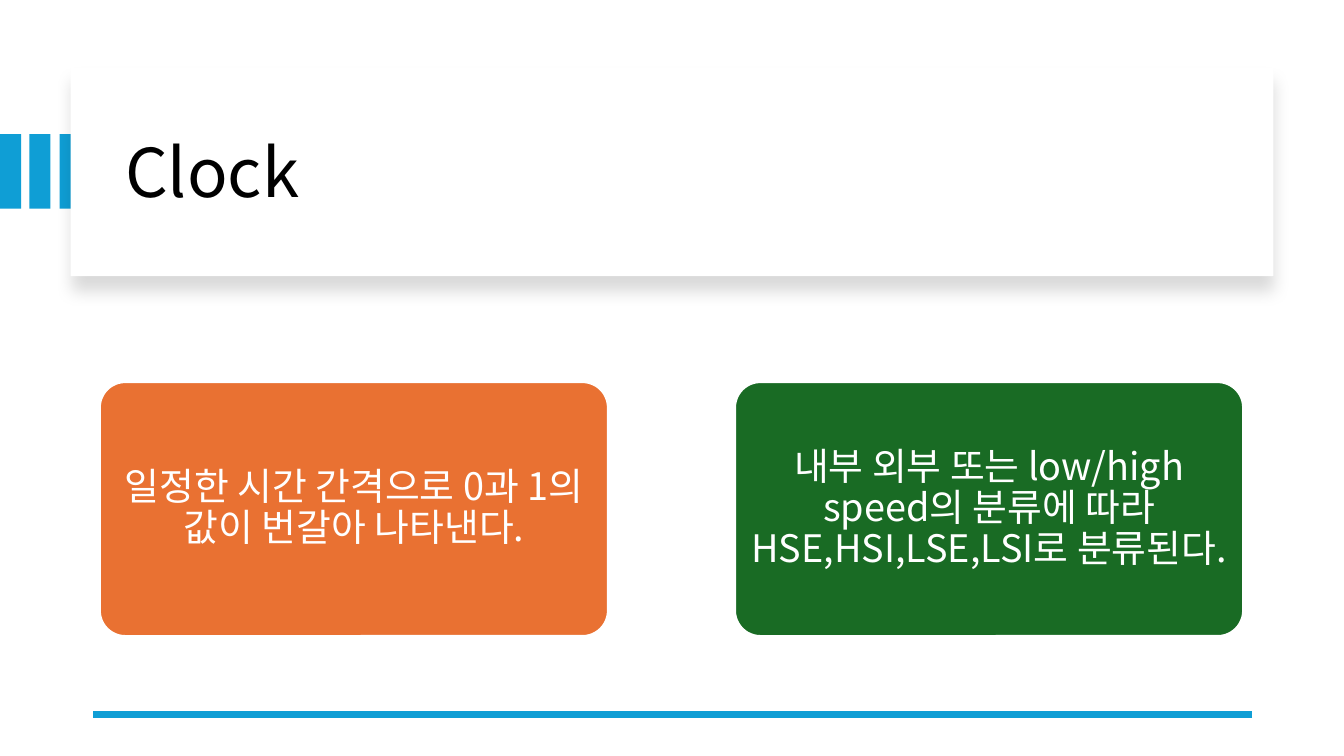
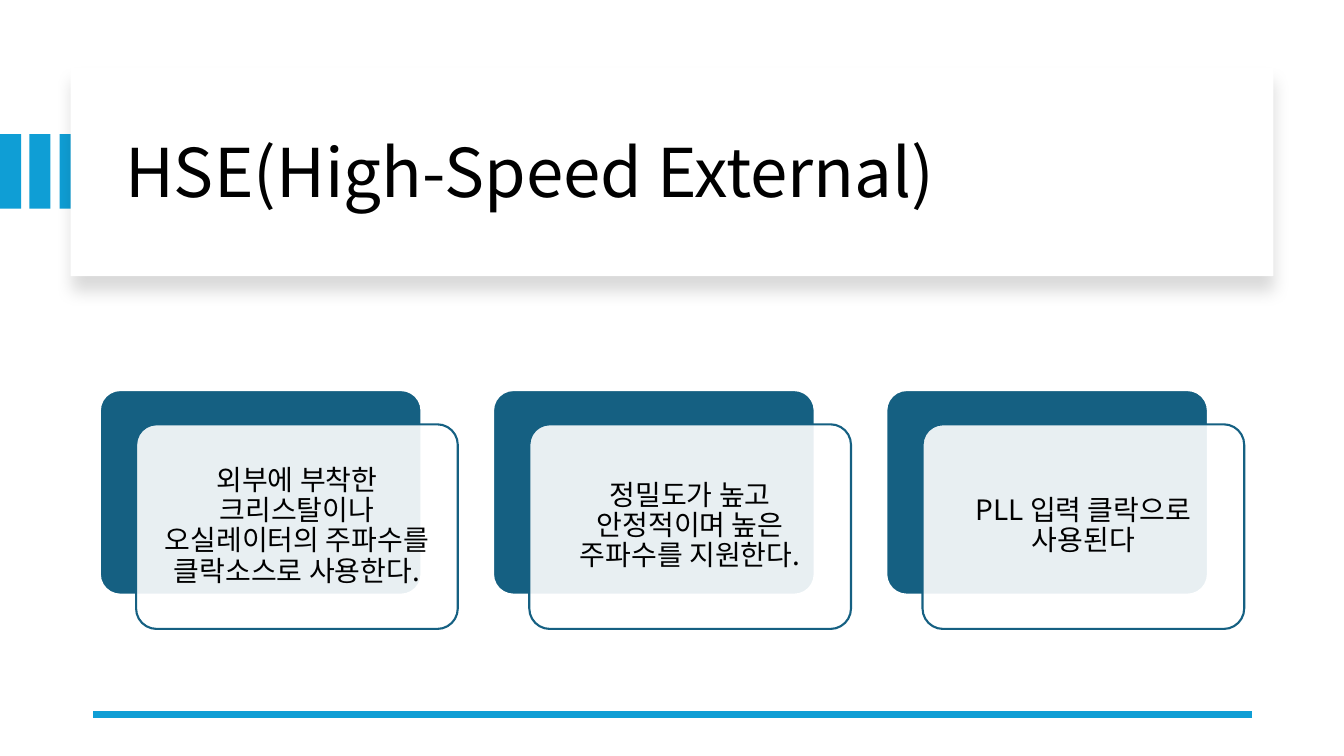
from lxml import etree
from pptx import Presentation
from pptx.dml.color import RGBColor
from pptx.enum.shapes import MSO_CONNECTOR, MSO_SHAPE
from pptx.enum.text import MSO_ANCHOR, PP_ALIGN
from pptx.oxml.ns import qn
from pptx.util import Emu, Pt

RECT, ROUND = MSO_SHAPE.RECTANGLE, MSO_SHAPE.ROUNDED_RECTANGLE
LEFT, CENTER = PP_ALIGN.LEFT, PP_ALIGN.CENTER
MIDDLE = MSO_ANCHOR.MIDDLE
STRAIGHT = MSO_CONNECTOR.STRAIGHT
TITLE_ONLY = 5

FONT = "Noto Sans CJK KR"
COLORS = {
    "accent": "0F9ED5",
    "orange": "E97132",
    "green": "196B24",
    "teal": "156082",
    "white": "FFFFFF",
    "black": "000000",
}


def px(n):
    """Lengths are in px, 100 to the inch."""
    return Emu(n * 9144)


def rgb(name):
    return RGBColor.from_string(COLORS[name])


def add_box(sl, kind, box, fill, line=None):
    sp = sl.shapes.add_shape(kind, *map(px, box))
    sp.shadow.inherit = False
    sp.fill.solid()
    sp.fill.fore_color.rgb = rgb(fill)
    if kind == ROUND:
        sp.adjustments[0] = 0.1
    if line:
        sp.line.color.rgb = rgb(line)
        sp.line.width = Pt(1.5)
    else:
        sp.line.fill.background()
    return sp


def set_alpha(color, percent):
    etree.SubElement(color, qn("a:alpha"), val=str(percent * 1000))


def add_soft_shadow(sp):
    effects = sp.element.spPr.find(qn("a:effectLst"))
    shadow = etree.SubElement(
        effects, qn("a:outerShdw"), blurRad=str(Pt(11)), dist=str(Pt(10)),
        dir="5400000", algn="t", rotWithShape="0")
    color = etree.SubElement(shadow, qn("a:srgbClr"), val=COLORS["black"])
    set_alpha(color, 15)


def write(sp, text, size, color, align=CENTER, insets=(10, 5)):
    tf = sp.text_frame
    tf.word_wrap = True
    tf.vertical_anchor = MIDDLE
    tf.margin_left = tf.margin_right = px(insets[0])
    tf.margin_top = tf.margin_bottom = px(insets[1])
    tf.text = text
    p = tf.paragraphs[0]
    p.alignment = align
    p.line_spacing = 0.9
    p.font.size = Pt(size)
    p.font.name = FONT
    p.font.color.rgb = rgb(color)
    props = p.font.fill  # keeps the fill ahead of the East Asian font
    props.solid()
    props.fore_color.rgb = rgb(color)
    latin = next(p.font_element.iter(qn("a:latin"))) if hasattr(p, "font_element") else \
        next(sp.element.txBody.iter(qn("a:latin")))
    latin.addnext(etree.Element(qn("a:ea"), typeface=FONT))


def add_rule(sl):
    line = sl.shapes.add_connector(STRAIGHT, px(1242), px(709), px(92), px(709))
    line.line.color.rgb = rgb("accent")
    line.line.width = Pt(4.5)
    etree.SubElement(line.element.spPr, qn("a:effectLst"))


def add_titled_slide(prs, title):
    sl = prs.slides.add_slide(prs.slide_layouts[TITLE_ONLY])
    for i in range(3):
        add_box(sl, RECT, (i * 59 // 2, 133, 21, 74), "accent")
    panel = add_box(sl, RECT, (70, 67, 1193, 207), "white")
    add_soft_shadow(panel)
    sp = sl.shapes.title
    sp.left, sp.top, sp.width, sp.height = map(px, (114, 89, 1113, 170))
    write(sp, title, 48, "black", LEFT)
    panel.element.addnext(sp.element)
    add_rule(sl)
    return sl


def add_solid_cards(sl, cards):
    for i, (text, fill) in enumerate(cards):
        sp = add_box(sl, ROUND, (99 + i * 630, 379, 504, 252), fill, "white")
        write(sp, text, 27, "white", insets=(6, 4))


def add_layered_cards(sl, texts):
    for i, text in enumerate(texts):
        left = 99 + i * 390
        add_box(sl, ROUND, (left, 387, 319, 203), "teal", "white")
        sp = add_box(sl, ROUND, (left + 36, 421, 319, 203), "white", "teal")
        set_alpha(sp.element.spPr.find(qn("a:solidFill"))[0], 90)
        write(sp, text, 20, "black", insets=(8, 8))


def main():
    prs = Presentation()
    prs.slide_width, prs.slide_height = px(1333), px(750)

    add_solid_cards(add_titled_slide(prs, "Clock"), [
        ("일정한 시간 간격으로 0과 1의 값이 번갈아 나타낸다.", "orange"),
        ("내부 외부 또는 low/high speed의 분류에 따라 "
         "HSE,HSI,LSE,LSI로 분류된다.", "green"),
    ])
    add_layered_cards(add_titled_slide(prs, "HSE(High-Speed External)"), [
        "외부에 부착한 크리스탈이나 오실레이터의 주파수를 클락소스로 사용한다.",
        "정밀도가 높고 안정적이며 높은 주파수를 지원한다.",
        "PLL 입력 클락으로 사용된다",
    ])
    prs.save("out.pptx")


if __name__ == "__main__":
    main()
